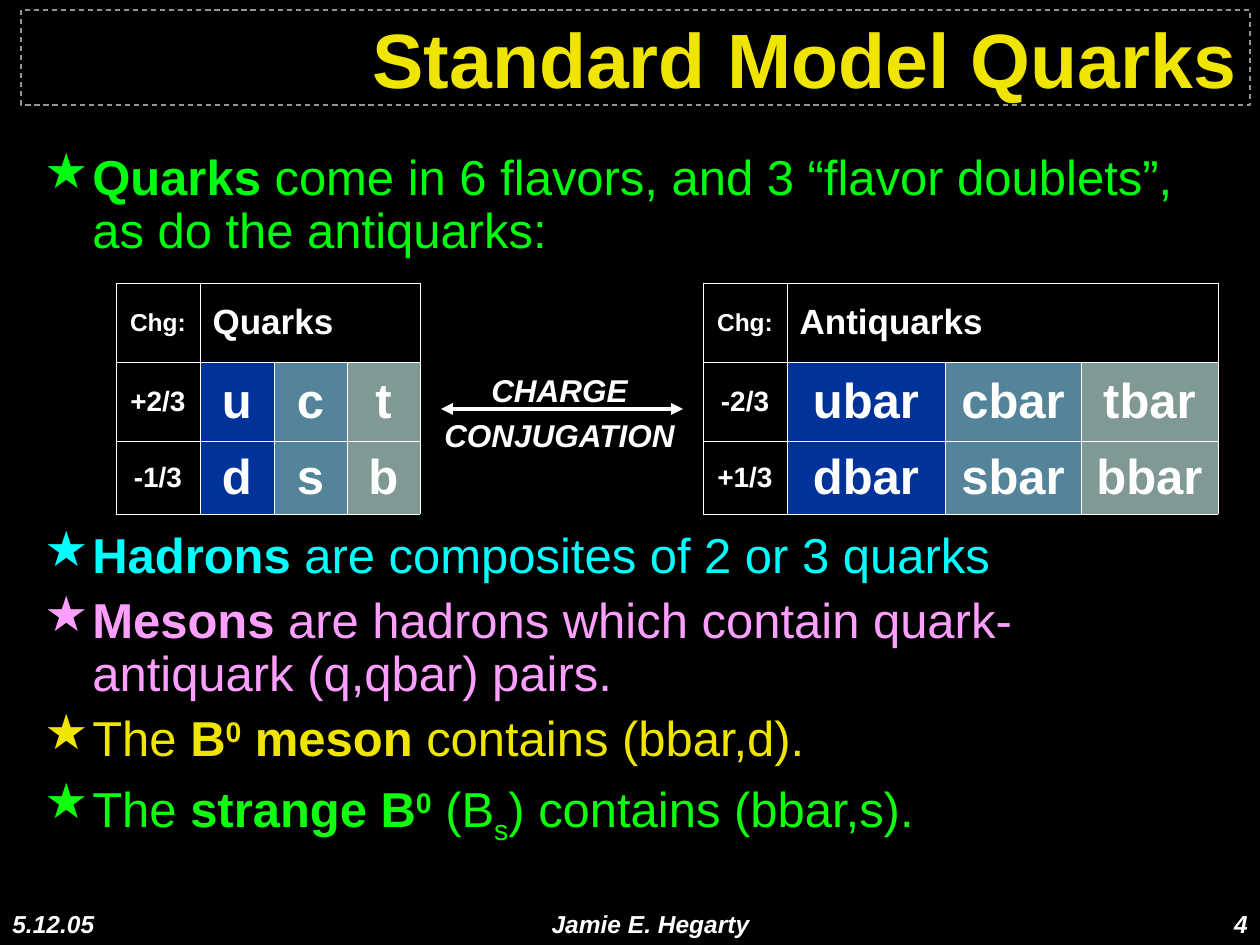
from lxml.etree import SubElement
from pptx import Presentation
from pptx.dml.color import RGBColor
from pptx.enum.dml import MSO_LINE_DASH_STYLE as Dash
from pptx.enum.shapes import MSO_CONNECTOR as Connector
from pptx.enum.text import MSO_ANCHOR as Anchor, MSO_AUTO_SIZE as AutoSize, PP_ALIGN as Align
from pptx.oxml import parse_xml
from pptx.oxml.ns import nsdecls, qn
from pptx.util import Emu, Pt

BLACK = RGBColor(0x00, 0x00, 0x00)
WHITE = RGBColor(0xFF, 0xFF, 0xFF)
GRAY = RGBColor(0x96, 0x96, 0x96)
YELLOW = RGBColor(0xF0, 0xE5, 0x00)
GREEN = RGBColor(0x00, 0xFF, 0x0E)
LIME = RGBColor(0x0F, 0xFF, 0x0F)
CYAN = RGBColor(0x00, 0xFF, 0xFF)
PINK = RGBColor(0xFD, 0x9F, 0xFF)
FAMILY_FILLS = [RGBColor(0x00, 0x33, 0x99), RGBColor(0x53, 0x84, 0x99), RGBColor(0x80, 0x99, 0x95)]

TITLE = "Standard Model Quarks"
# Each bullet: colour, space before in points, runs of (text, bold, baseline).
BULLETS = [
    (GREEN, 7, [("Quarks", True, 0),
                (" come in 6 flavors, and 3 “flavor doublets”, as do the antiquarks:", False, 0)]),
    (CYAN, 155.5, [("Hadrons", True, 0), (" are composites of 2 or 3 quarks", False, 0)]),
    (PINK, 7, [("Mesons", True, 0),
               (" are hadrons which contain quark-antiquark (q,qbar) pairs.", False, 0)]),
    (YELLOW, 7, [("The ", False, 0), ("B", True, 0), ("0", True, 30), (" meson", True, 0),
                 (" contains (bbar,d).", False, 0)]),
    (LIME, 7, [("The ", False, 0), ("strange B", True, 0), ("0", True, 30), (" (B", False, 0),
               ("s", False, -25), (") contains (bbar,s).", False, 0)]),
]
TABLES = [
    (116, [84, 74, 73, 73], [["Chg:", "Quarks"], ["+2/3", "u", "c", "t"], ["-1/3", "d", "s", "b"]]),
    (703, [84, 158, 136, 137], [["Chg:", "Antiquarks"], ["-2/3", "ubar", "cbar", "tbar"],
                                ["+1/3", "dbar", "sbar", "bbar"]]),
]
TABLE_TOP = 283
ROW_HEIGHTS = [79, 79, 73]
ARROW_LABEL = ["CHARGE", "CONJUGATION"]
FOOTERS = [
    ("Jamie E. Hegarty", 262, 777, Align.CENTER),
    ("4", 1050, 210, Align.RIGHT),
    ("5.12.05", 0, 252, Align.LEFT),
]


def px(count):
    """Turn pixels into EMU."""
    return Emu(round(count * 914400 / 126))


def add_span(para, text, size, color, bold=True, italic=False, baseline=0):
    """Add one formatted run."""
    span = para.add_run()
    span.text = text
    font = span.font
    font.name, font.size, font.bold, font.italic = "Arial", Pt(size), bold, italic
    font.color.rgb = color
    if baseline:
        font._element.set("baseline", str(baseline * 1000))


def add_box(page, left, top, width, height):
    """Add a wrapping text box."""
    box = page.shapes.add_textbox(px(left), px(top), px(width), px(height))
    box.text_frame.word_wrap = True
    return box


def next_para(frame, index):
    """Return the first paragraph or a new one."""
    return frame.add_paragraph() if index else frame.paragraphs[0]


def add_bullets(page):
    """Add the starred statements."""
    frame = add_box(page, 32, 147, 1187, 703).text_frame
    for index, (color, space, spans) in enumerate(BULLETS):
        para = next_para(frame, index)
        para.line_spacing, para.space_before = 0.9, Pt(space)
        props = para._p.get_or_add_pPr()
        props.set("marL", str(px(48)))
        props.set("indent", str(-px(48)))
        SubElement(SubElement(props, qn("a:buClr")), qn("a:srgbClr")).set("val", str(color))
        SubElement(props, qn("a:buChar")).set("char", "★")
        for text, bold, baseline in spans:
            add_span(para, text, 28, color, bold, baseline=baseline)


def add_title(page):
    """Add the dashed title box."""
    box = add_box(page, 21, 10, 1229, 95)
    box.line.color.rgb, box.line.width = GRAY, Pt(0.75)
    box.line.dash_style = Dash.DASH
    box.text_frame.vertical_anchor = Anchor.MIDDLE
    para = box.text_frame.paragraphs[0]
    para.alignment = Align.RIGHT
    add_span(para, TITLE, 44, YELLOW)


def set_borders(cell):
    """Draw a thin white line on each side of a cell."""
    props = cell._tc.get_or_add_tcPr()
    for index, side in enumerate(("lnL", "lnR", "lnT", "lnB")):
        props.insert(index, parse_xml(
            f'<a:{side} {nsdecls("a")} w="5715"><a:solidFill><a:srgbClr val="{WHITE}"/>'
            f'</a:solidFill></a:{side}>'))


def add_flavors(page, left, widths, rows):
    """Add one table of flavors by charge."""
    table = page.shapes.add_table(len(rows), len(widths), px(left), px(TABLE_TOP),
                                  px(sum(widths)), px(sum(ROW_HEIGHTS))).table
    table.first_row = table.horz_banding = False
    for column, width in zip(table.columns, widths):
        column.width = px(width)
    for row, height in zip(table.rows, ROW_HEIGHTS):
        row.height = px(height)
    for cell in table.iter_cells():
        cell.fill.background()
        set_borders(cell)
    table.cell(0, 1).merge(table.cell(0, len(widths) - 1))
    for r, texts in enumerate(rows):
        for c, text in enumerate(texts):
            cell = table.cell(r, c)
            cell.vertical_anchor = Anchor.MIDDLE
            if r and c:
                cell.fill.solid()
                cell.fill.fore_color.rgb = FAMILY_FILLS[c - 1]
            size = (28 if c else 16) if r else (20 if c else 14)
            para = cell.text_frame.paragraphs[0]
            para.alignment = Align.CENTER if r or not c else Align.LEFT
            para.space_before = Pt(size / 4)
            add_span(para, text, size, WHITE)


def add_conjugation(page):
    """Add the double arrow and its label."""
    arrow = page.shapes.add_connector(Connector.STRAIGHT, px(441), px(409), px(683), px(409))
    arrow.line.color.rgb, arrow.line.width = WHITE, Pt(2.25)
    line = arrow.line._get_or_add_ln()
    for end in ("a:headEnd", "a:tailEnd"):
        SubElement(line, qn(end)).set("type", "triangle")
    SubElement(arrow._element.spPr, qn("a:effectLst"))
    frame = add_box(page, 431, 357, 257, 103).text_frame
    frame.word_wrap, frame.auto_size = False, AutoSize.SHAPE_TO_FIT_TEXT
    for index, text in enumerate(ARROW_LABEL):
        para = next_para(frame, index)
        para.alignment, para.line_spacing = Align.CENTER, 1.2
        add_span(para, text, 18, WHITE, italic=True)


def main():
    """Build the quark slide."""
    deck = Presentation()
    deck.slide_width, deck.slide_height = px(1260), px(945)
    page = deck.slides.add_slide(deck.slide_layouts[6])
    page.background.fill.solid()
    page.background.fill.fore_color.rgb = BLACK
    add_bullets(page)
    add_title(page)
    for left, widths, rows in TABLES:
        add_flavors(page, left, widths, rows)
    add_conjugation(page)
    for text, left, width, align in FOOTERS:
        para = add_box(page, left, 903, width, 42).text_frame.paragraphs[0]
        para.alignment = align
        add_span(para, text, 14, WHITE, italic=True)
    deck.save("out.pptx")


if __name__ == "__main__":
    main()
